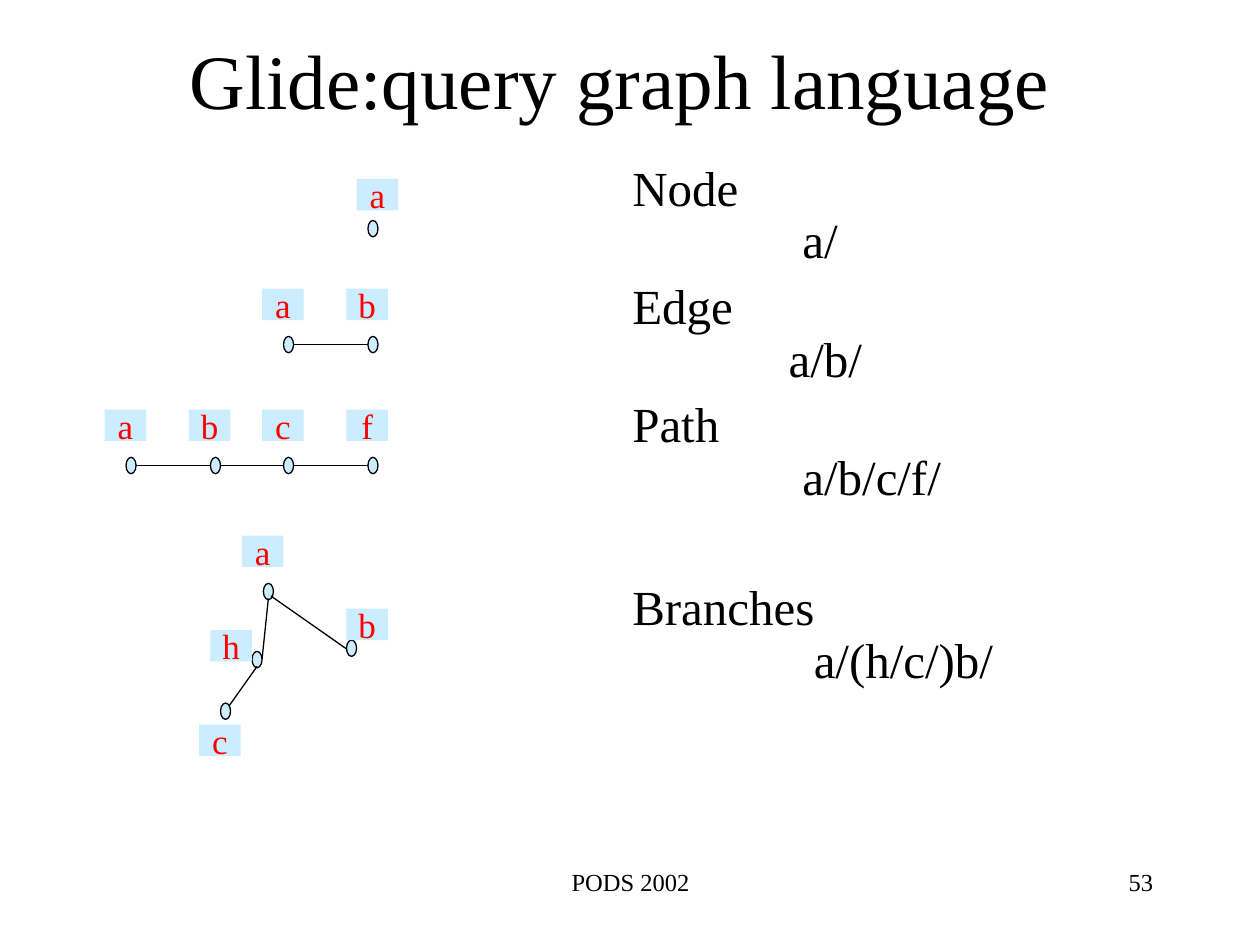
from dataclasses import dataclass
from itertools import pairwise

from lxml import etree
from pptx import Presentation
from pptx.dml.color import RGBColor
from pptx.enum.shapes import MSO_CONNECTOR, MSO_SHAPE
from pptx.enum.text import MSO_ANCHOR, PP_ALIGN
from pptx.oxml.ns import qn
from pptx.util import Inches, Pt

LEFT, CENTER, RIGHT = PP_ALIGN.LEFT, PP_ALIGN.CENTER, PP_ALIGN.RIGHT
TOP, MIDDLE = MSO_ANCHOR.TOP, MSO_ANCHOR.MIDDLE
OVAL, RECTANGLE = MSO_SHAPE.OVAL, MSO_SHAPE.RECTANGLE
STRAIGHT = MSO_CONNECTOR.STRAIGHT


@dataclass(frozen=True)
class Theme:
    font: str = "Times New Roman"
    ink: RGBColor = RGBColor(0x00, 0x00, 0x00)
    accent: RGBColor = RGBColor(0xFF, 0x00, 0x00)
    tint: RGBColor = RGBColor(0xCC, 0xEC, 0xFF)
    title_size: int = 44
    body_size: int = 28
    label_size: int = 20
    footer_size: int = 14
    line_width: float = 0.75


THEME = Theme()
NODE_W, NODE_H = 0.08, 0.13
LABEL_W, LABEL_H = 0.33, 0.25
CHAIN_LABEL_OFFSET = (-0.17, -0.38)

CHAINS = [
    (2.67, [("a", 2.25), ("b", 2.92)]),
    (3.63, [("a", 1), ("b", 1.67), ("c", 2.25), ("f", 2.92)]),
]
BRANCH_NODES = [
    ("a", (2.09, 4.63), (-0.17, -0.38)),
    ("h", (2, 5.17), (-0.33, -0.17)),
    ("c", (1.75, 5.58), (-0.17, 0.17)),
    ("b", (2.75, 5.08), (0, -0.25)),
]
BRANCH_EDGES = [
    ((2.13, 4.75), (2.08, 5.23)),
    ((2.15, 4.73), (2.75, 5.15)),
    ((2.04, 5.29), (1.82, 5.6)),
]
QUERIES = [
    ("Node", "a/", 1.35, 0),
    ("Edge", "a/b/", 1.24, 7),
    ("Path", "a/b/c/f/", 1.35, 7),
    ("Branches", "a/(h/c/)b/", 1.44, 44),
]


def style_paragraph(paragraph, size, color, align):
    paragraph.alignment = align
    paragraph.font.name = THEME.font
    paragraph.font.size = Pt(size)
    paragraph.font.color.rgb = color


def add_text(slide, box, text, size, align, anchor=TOP):
    frame = slide.shapes.add_textbox(*map(Inches, box)).text_frame
    frame.word_wrap = True
    frame.vertical_anchor = anchor
    frame.text = text
    style_paragraph(frame.paragraphs[0], size, THEME.ink, align)


def add_queries(slide):
    box = map(Inches, (4.92, 1.25, 3.08, 4.5))
    frame = slide.shapes.add_textbox(*box).text_frame
    frame.word_wrap = True
    for index, (name, query, indent, gap) in enumerate(QUERIES):
        paragraph = frame.add_paragraph() if index else frame.paragraphs[0]
        paragraph.text = f"{name}\v{query}"
        properties = paragraph._p.get_or_add_pPr()
        properties.set("marL", str(Inches(indent)))
        properties.set("indent", str(-Inches(indent)))
        paragraph.line_spacing = 0.9
        paragraph.space_before = Pt(gap)
        style_paragraph(paragraph, THEME.body_size, THEME.ink, LEFT)


def add_tinted_shape(slide, kind, *box):
    shape = slide.shapes.add_shape(kind, *map(Inches, box))
    shape.shadow.inherit = False
    shape.fill.solid()
    shape.fill.fore_color.rgb = THEME.tint
    return shape


def add_node(slide, name, position, label_offset):
    x, y = position
    dx, dy = label_offset
    node = add_tinted_shape(slide, OVAL, x, y, NODE_W, NODE_H)
    node.line.color.rgb = THEME.ink
    node.line.width = Pt(THEME.line_width)

    label = add_tinted_shape(slide, RECTANGLE, x + dx, y + dy, LABEL_W, LABEL_H)
    label.line.fill.background()
    frame = label.text_frame
    frame.word_wrap = False
    frame.vertical_anchor = MIDDLE
    frame.text = name
    style_paragraph(frame.paragraphs[0], THEME.label_size, THEME.accent, CENTER)


def add_edge(slide, start, end):
    edge = slide.shapes.add_connector(STRAIGHT, *map(Inches, (*start, *end)))
    edge.line.color.rgb = THEME.ink
    edge.line.width = Pt(THEME.line_width)
    etree.SubElement(edge._element.spPr, qn("a:effectLst"))


def add_chain(slide, y, nodes):
    for name, x in nodes:
        add_node(slide, name, (x, y), CHAIN_LABEL_OFFSET)
    middle = y + NODE_H / 2
    for (_, x), (_, next_x) in pairwise(nodes):
        add_edge(slide, (x + NODE_W, middle), (next_x, middle))


def main():
    deck = Presentation()
    deck.slide_width, deck.slide_height = Inches(10), Inches(7.5)
    slide = deck.slides.add_slide(deck.slide_layouts[6])

    add_text(slide, (0.67, 0, 8.5, 1.25), "Glide:query graph language",
             THEME.title_size, CENTER, MIDDLE)
    add_queries(slide)
    add_node(slide, "a", (2.92, 1.75), (-0.09, -0.33))
    for y, nodes in CHAINS:
        add_chain(slide, y, nodes)
    for name, position, label_offset in BRANCH_NODES:
        add_node(slide, name, position, label_offset)
    for start, end in BRANCH_EDGES:
        add_edge(slide, start, end)
    add_text(slide, (3.42, 6.83, 3.17, 0.5), "PODS 2002", THEME.footer_size, CENTER)
    add_text(slide, (7.17, 6.83, 2.08, 0.5), "53", THEME.footer_size, RIGHT)

    deck.save("out.pptx")


if __name__ == "__main__":
    main()
